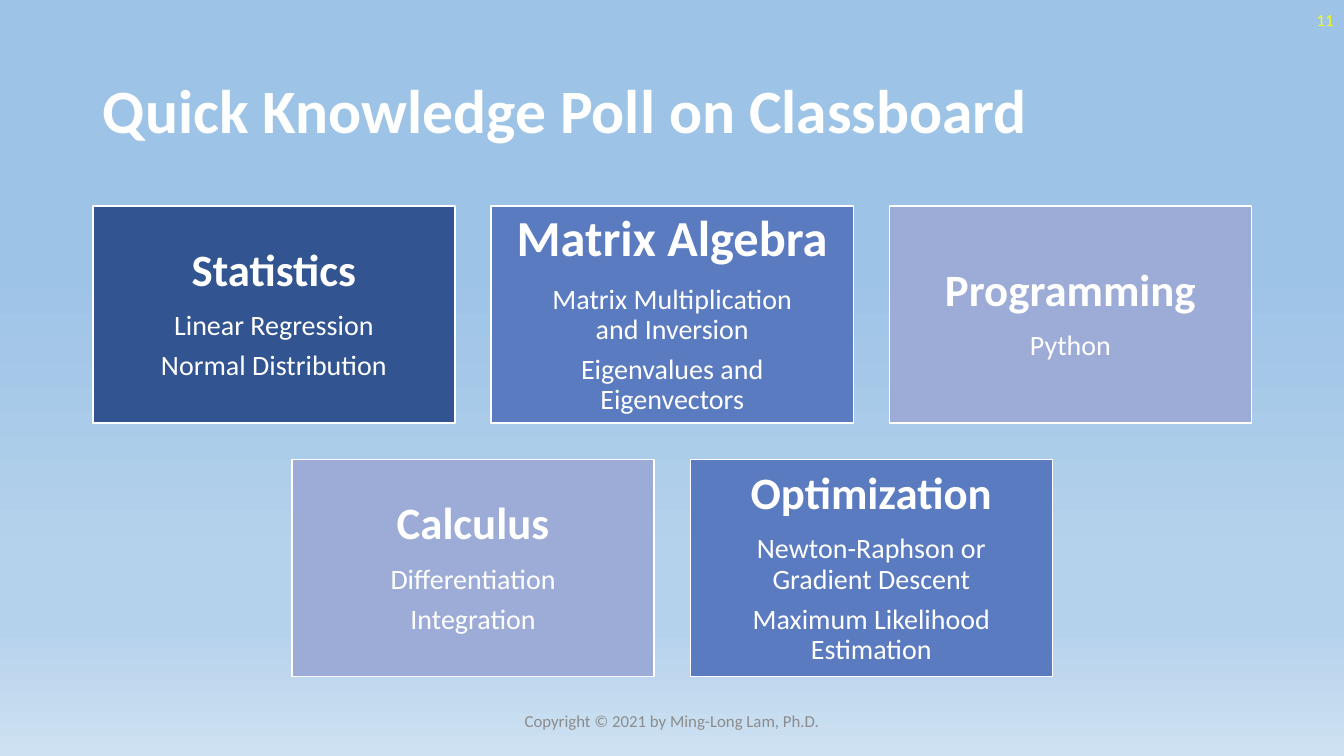
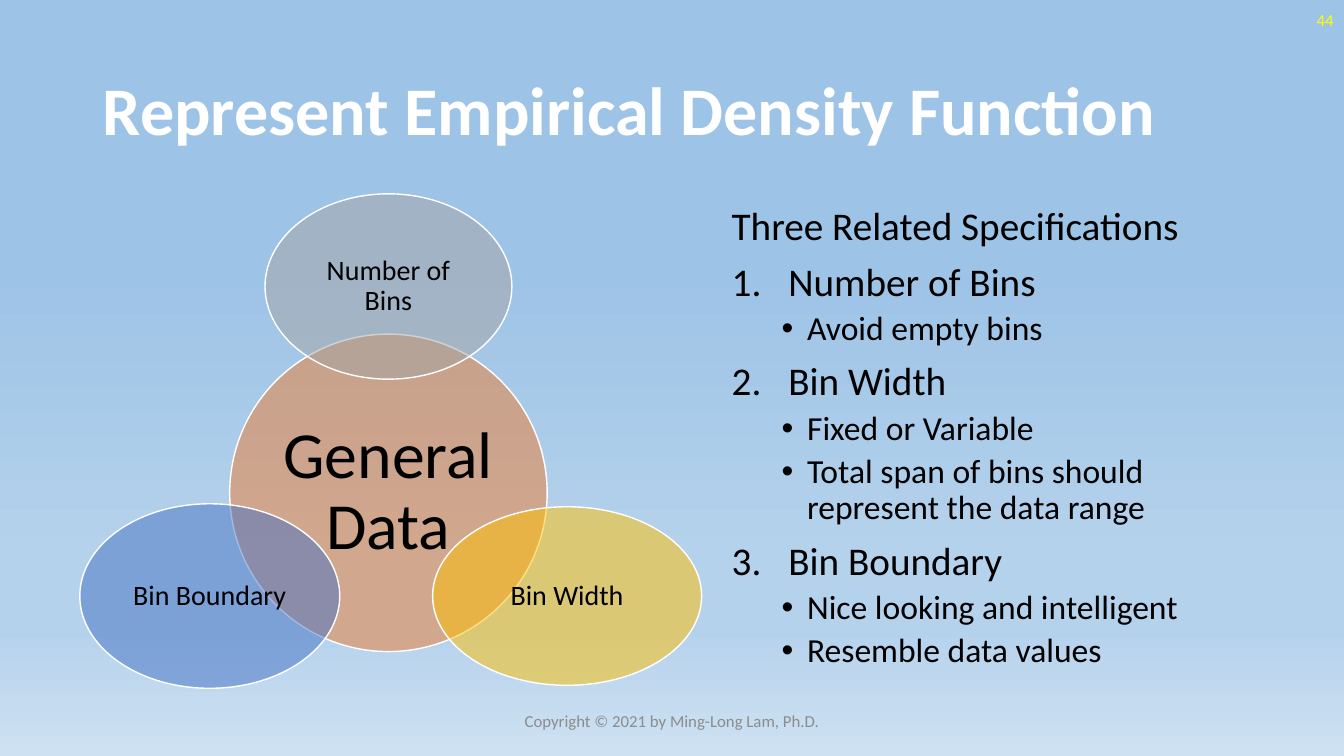
from dataclasses import dataclass
from math import cos, radians, sin

from lxml.etree import SubElement as Sub
from pptx import Presentation
from pptx.dml.color import RGBColor as RGB
from pptx.enum.shapes import MSO_SHAPE as Kind
from pptx.enum.text import MSO_ANCHOR as Anchor, MSO_AUTO_SIZE as Fit, PP_ALIGN as Align
from pptx.oxml.ns import qn
from pptx.util import Cm, Pt


@dataclass(frozen=True)
class Theme:
    font: str = "Calibri"
    white: str = "FFFFFF"
    black: str = "000000"
    gray: str = "8C8C8C"
    yellow: str = "FFFF00"
    navy: str = "325491"
    blue: str = "5B7BC0"
    lilac: str = "9DACD6"
    orange: str = "ED7D31"
    silver: str = "A5A5A5"
    gold: str = "FFC000"
    azure: str = "4472C4"
    sky: tuple = ((35, "9DC3E6"), (74, "B5D2EC"), (83, "B5D2EC"), (100, "CEE1F2"))
    title: float = 44
    large: float = 48.6
    hub: float = 47
    head: float = 32
    big: float = 36
    list: float = 28
    sub: float = 24
    body: float = 20
    small: float = 12


@dataclass(frozen=True)
class Box:
    """A region in centimetres."""
    x: float
    y: float
    w: float
    h: float

    def emu(self):
        return Cm(self.x), Cm(self.y), Cm(self.w), Cm(self.h)


T = Theme()
WIDE, HIGH = 33.87, 19.05
TITLE = Box(2.34, 1.02, 29.2, 3.68)
BODY = Box(2.34, 5.07, 29.2, 12.1)
NUMBER = Box(26.24, 0, 7.62, 1.02)
FOOT = Box(11.22, 17.65, 11.43, 1.02)


def style(par, size, color, bold=False, align=Align.LEFT):
    par.alignment = align
    font = par.font
    font.name, font.size, font.bold = T.font, Pt(size), bold
    font.color.rgb = RGB.from_string(color)


def lines(frame, texts):
    """Yield one paragraph of the frame for each text."""
    for i, text in enumerate(texts):
        par = frame.add_paragraph() if i else frame.paragraphs[0]
        par.text = text
        yield par


def paint(deck):
    """Give the master the sky gradient."""
    master = deck.slide_master
    fill = master.background.fill
    fill.gradient()
    fill.gradient_angle = 270
    stops = master.element.find(".//" + qn("a:gsLst"))
    for old in list(stops):
        stops.remove(old)
    for pos, color in T.sky:
        stop = Sub(stops, qn("a:gs"), pos=str(pos * 1000))
        Sub(stop, qn("a:srgbClr"), val=color)


def label(slide, box, text, color, align):
    frame = slide.shapes.add_textbox(*box.emu()).text_frame
    frame.word_wrap = True
    frame.vertical_anchor = Anchor.MIDDLE
    frame.text = text
    style(frame.paragraphs[0], T.small, color, align=align)


def start(deck, title, size, number):
    """Add a slide with its title, number and footer."""
    slide = deck.slides.add_slide(deck.slide_layouts[5])
    head = slide.shapes.title
    head.left, head.top, head.width, head.height = TITLE.emu()
    frame = head.text_frame
    frame.text = title
    frame.auto_size = Fit.NONE
    frame.vertical_anchor = Anchor.MIDDLE
    par = frame.paragraphs[0]
    par.line_spacing = 0.9
    style(par, size, T.white, bold=True)
    label(slide, NUMBER, number, T.yellow, Align.RIGHT)
    label(slide, FOOT, "Copyright © 2021 by Ming-Long Lam, Ph.D.", T.gray, Align.CENTER)
    return slide


def block(slide, kind, box, fill, texts, sizes, color, inset, bold=False):
    """Add a filled shape; only its first paragraph may be bold."""
    shape = slide.shapes.add_shape(kind, *box.emu())
    shape.shadow.inherit = False
    shape.fill.solid()
    shape.fill.fore_color.rgb = RGB.from_string(fill)
    shape.line.color.rgb = RGB.from_string(T.white)
    shape.line.width = Pt(1)
    frame = shape.text_frame
    frame.word_wrap = True
    frame.vertical_anchor = Anchor.MIDDLE
    frame.margin_left = frame.margin_right = Pt(inset)
    frame.margin_top = frame.margin_bottom = Pt(inset)
    for i, (par, size) in enumerate(zip(lines(frame, texts), sizes)):
        par.line_spacing = 0.9
        par.space_after = Pt(0.35 * size)
        style(par, size, color, bold and i == 0, Align.CENTER)
    return shape


def cards(slide, box, rows):
    """Set centred rows of cards, three to the full width."""
    wide = box.w / 3.2
    high, gap = 0.6 * wide, 0.1 * wide
    top = box.y + (box.h - len(rows) * (high + gap) + gap) / 2
    for r, row in enumerate(rows):
        left = box.x + (box.w - len(row) * (wide + gap) + gap) / 2
        for c, (fill, size, *texts) in enumerate(row):
            spot = Box(left + c * (wide + gap), top + r * (high + gap), wide, high)
            sizes = [size] + [T.body] * (len(texts) - 1)
            block(slide, Kind.RECTANGLE, spot, fill, texts, sizes, T.white,
                  0.3 * size, bold=True)


def oval(slide, x, y, wide, high, fill, text, size):
    """Add a half-clear oval centred on x, y."""
    spot = Box(x - wide / 2, y - high / 2, wide, high)
    shape = block(slide, Kind.OVAL, spot, fill, [text], [size], T.black, 0.1 * size)
    tint = shape.element.spPr.find(qn("a:solidFill")).find(qn("a:srgbClr"))
    Sub(tint, qn("a:alpha"), val="50000")


def radial(slide, box, hub, spokes):
    """Set ovals at equal angles around a hub, clockwise from the top."""
    reach = 5.2
    x, y = box.x + box.w / 2, box.y + box.h / 2 + reach / 4
    oval(slide, x, y, 8, 8, T.orange, hub, T.hub)
    for i, (wide, high, fill, text) in enumerate(spokes):
        turn = radians(360 / len(spokes) * i)
        oval(slide, x + reach * sin(turn), y - reach * cos(turn),
             wide, high, fill, text, T.body)


def bullet(par, left, hang, font, tag, **attrs):
    props = par._p.get_or_add_pPr()
    props.set("marL", str(Cm(left)))
    props.set("indent", str(-Cm(hang)))
    Sub(props, qn("a:buFont"), typeface=font)
    Sub(props, qn(tag), **attrs)


def outline(slide, box, lead, items):
    """Write a lead line, then numbered items with bullets below each."""
    frame = slide.shapes.add_textbox(*box.emu()).text_frame
    frame.word_wrap = True
    rows = [("lead", lead)]
    for item, subs in items:
        rows += [("item", item)] + [("sub", text) for text in subs]
    pars = lines(frame, [text for _, text in rows])
    for par, (role, _) in zip(pars, rows):
        par.line_spacing = 0.9
        if role == "item":
            par.space_before = Pt(10)
            bullet(par, 1.43, 1.43, T.font, "a:buAutoNum", type="arabicPeriod")
        elif role == "sub":
            par.level = 1
            par.space_before = Pt(5)
            bullet(par, 1.9, 0.64, "Arial", "a:buChar", char="•")
        style(par, T.sub if role == "sub" else T.list, T.black)


def poll(deck):
    slide = start(deck, "Quick Knowledge Poll on Classboard", T.title, "11")
    cards(slide, BODY, [
        [(T.navy, T.head, "Statistics", "Linear Regression", "Normal Distribution"),
         (T.blue, T.big, "Matrix Algebra", "Matrix Multiplication\vand Inversion",
          "Eigenvalues and Eigenvectors"),
         (T.lilac, T.head, "Programming", "Python")],
        [(T.lilac, T.head, "Calculus", "Differentiation", "Integration"),
         (T.blue, T.head, "Optimization", "Newton-Raphson or\vGradient Descent",
          "Maximum Likelihood Estimation")],
    ])


def density(deck):
    slide = start(deck, "Represent Empirical Density Function", T.large, "44")
    radial(slide, Box(BODY.x, BODY.y, 14.9, BODY.h), "General Data", [
        (6.22, 4.67, T.silver, "Number of Bins"),
        (6.78, 4.5, T.gold, "Bin Width"),
        (6.55, 4.65, T.azure, "Bin Boundary"),
    ])
    shift = 15.85
    side = Box(BODY.x + shift, BODY.y, BODY.w - shift, BODY.h)
    outline(slide, side, "Three Related Specifications", [
        ("Number of Bins", ["Avoid empty bins"]),
        ("Bin Width", ["Fixed or Variable",
                       "Total span of bins should represent the data range"]),
        ("Bin Boundary", ["Nice looking and intelligent", "Resemble data values"]),
    ])


def main():
    deck = Presentation()
    deck.slide_width, deck.slide_height = Cm(WIDE), Cm(HIGH)
    paint(deck)
    poll(deck)
    density(deck)
    deck.save("out.pptx")


if __name__ == "__main__":
    main()
